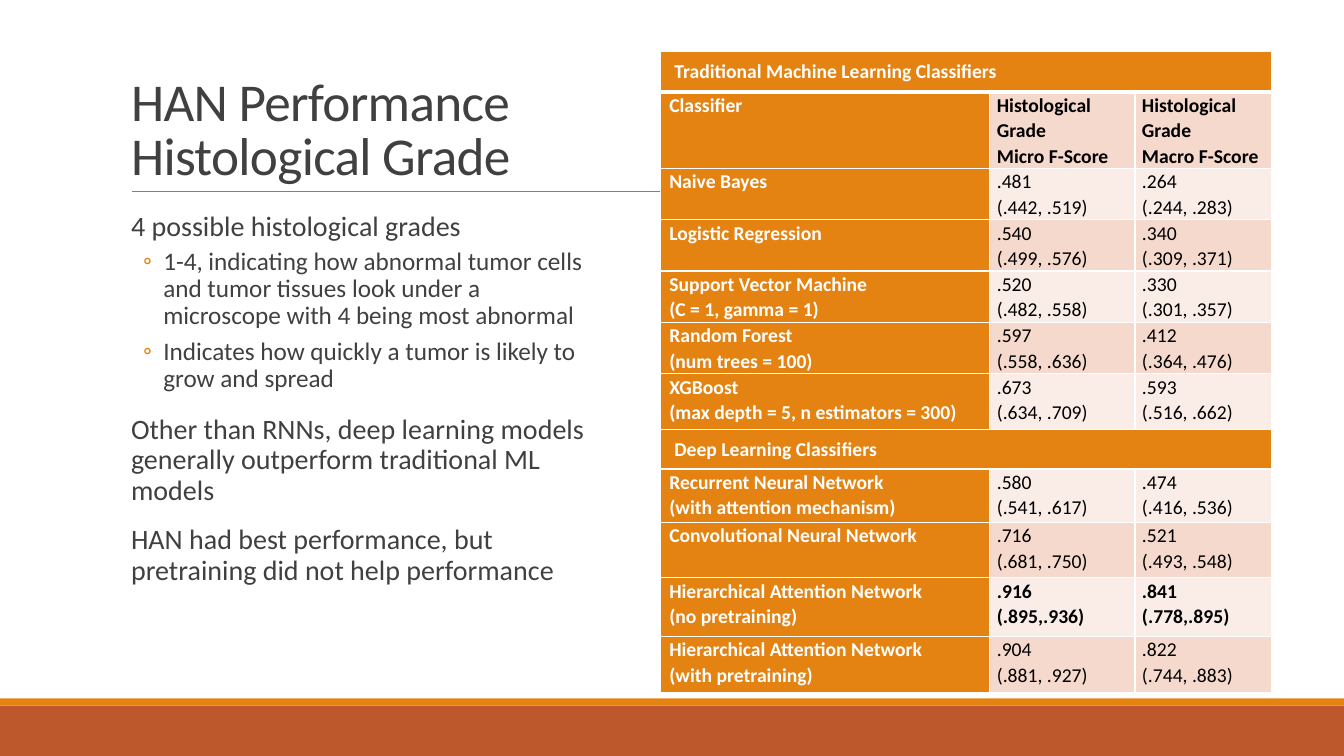
from collections import namedtuple

from lxml.etree import SubElement
from pptx import Presentation
from pptx.dml.color import RGBColor
from pptx.enum.shapes import MSO_CONNECTOR, MSO_SHAPE
from pptx.enum.text import MSO_ANCHOR, MSO_AUTO_SIZE, PP_ALIGN
from pptx.oxml import parse_xml
from pptx.oxml.ns import nsdecls, qn
from pptx.util import Inches, Pt

ORANGE = RGBColor(0xE4, 0x83, 0x12)
RUST = RGBColor(0xBD, 0x58, 0x2C)
GRAY = RGBColor(0x80, 0x80, 0x80)
CHARCOAL = RGBColor(0x40, 0x40, 0x40)
WHITE = RGBColor(0xFF, 0xFF, 0xFF)
BLACK = RGBColor(0, 0, 0)
DARK_BAND = RGBColor(0xF5, 0xD9, 0xCC)
LIGHT_BAND = RGBColor(0xFA, 0xED, 0xE7)

UNIT = Inches(0.1)
COLUMNS, ROWS = 133.33, 75
Box = namedtuple("Box", "left top width height")

POINTS = [
    (0, "4 possible histological grades"),
    (1, "1-4, indicating how abnormal tumor cells and tumor tissues look under a "
        "microscope with 4 being most abnormal"),
    (1, "Indicates how quickly a tumor is likely to grow and spread"),
    (0, "Other than RNNs, deep learning models generally outperform traditional ML models"),
    (0, "HAN had best performance, but pretraining did not help performance"),
]
COLUMN_WIDTHS = [32.7, 14.4, 13.6]
BEST_ROW = 10
SCORES = [
    (4, ["Traditional Machine Learning Classifiers"]),
    (7.5, ["Classifier"], ["Histological Grade", "Micro F-Score"],
     ["Histological Grade", "Macro F-Score"]),
    (5.1, ["Naive Bayes"], [".481", "(.442, .519)"], [".264", "(.244, .283)"]),
    (5.1, ["Logistic Regression"], [".540", "(.499, .576)"], [".340", "(.309, .371)"]),
    (5.1, ["Support Vector Machine", "(C = 1, gamma = 1)"],
     [".520", "(.482, .558)"], [".330", "(.301, .357)"]),
    (5.1, ["Random Forest", "(num trees = 100)"],
     [".597", "(.558, .636)"], [".412", "(.364, .476)"]),
    (5.5, ["XGBoost", "(max depth = 5, n estimators = 300)"],
     [".673", "(.634, .709)"], [".593", "(.516, .662)"]),
    (3.9, ["Deep Learning Classiﬁers"]),
    (5.3, ["Recurrent Neural Network", "(with attention mechanism)"],
     [".580", "(.541, .617)"], [".474", "(.416, .536)"]),
    (5.5, ["Convolutional Neural Network"], [".716", "(.681, .750)"], [".521", "(.493, .548)"]),
    (5.8, ["Hierarchical Attention Network", "(no pretraining)"],
     [".916", "(.895,.936)"], [".841", "(.778,.895)"]),
    (5.6, ["Hierarchical Attention Network", "(with pretraining)"],
     [".904", "(.881, .927)"], [".822", "(.744, .883)"]),
]


def grid(*lengths):
    """Turn grid units into slide lengths."""
    return [round(length * UNIT) for length in lengths]


def write(para, text, size, color, bold=False, spacing=1.0, before=0, after=0, tracking=0):
    """Fill a paragraph with formatted text, breaking it at each newline."""
    para.alignment = PP_ALIGN.LEFT
    para.line_spacing = spacing
    para.space_before, para.space_after = Pt(before), Pt(after)
    for index, line in enumerate(text.splitlines()):
        if index:
            para.add_line_break()
        span = para.add_run()
        span.text = line
        span.font.name, span.font.size = "Calibri", Pt(size)
        span.font.bold, span.font.color.rgb = bold, color
        if tracking:
            span.font._element.set("spc", str(round(tracking * 100)))


def frame_lines(frame, lines):
    """Yield each line with a paragraph of the frame to hold it."""
    for index, line in enumerate(lines):
        yield (frame.add_paragraph() if index else frame.paragraphs[0]), line


def move(shape, box):
    """Put a placeholder in its box and keep its text unscaled."""
    shape.left, shape.top, shape.width, shape.height = grid(*box)
    shape.text_frame.word_wrap = True
    shape.text_frame.auto_size = MSO_AUTO_SIZE.NONE


def add_bands(slide, box):
    """Draw the footer band with its thin stripe on top."""
    stripe = 0.7
    for color, top, height in ((RUST, box.top + stripe, box.height - stripe),
                               (ORANGE, box.top, stripe)):
        band = slide.shapes.add_shape(MSO_SHAPE.RECTANGLE, *grid(box.left, top, box.width, height))
        band.shadow.inherit = False
        band.fill.solid()
        band.fill.fore_color.rgb = color
        band.line.fill.background()


def add_title(slide, box):
    """Set the title and the rule beneath it."""
    title = slide.shapes.title
    move(title, box)
    title.text_frame.vertical_anchor = MSO_ANCHOR.BOTTOM
    write(title.text_frame.paragraphs[0], "HAN Performance\nHistological Grade",
          size=38, color=CHARCOAL, spacing=0.85, tracking=-0.5)
    bottom = box.top + box.height
    rule = slide.shapes.add_connector(
        MSO_CONNECTOR.STRAIGHT, *grid(box.left + 1.1, bottom, box.left + box.width + 0.1, bottom))
    rule.line.color.rgb, rule.line.width = GRAY, Pt(0.5)
    SubElement(rule._element.spPr, qn("a:effectLst"))


def set_bullet(para, level):
    """Indent a paragraph and give lower levels a round bullet."""
    para.level = level
    properties = para._p.get_or_add_pPr()
    margin, indent = grid(4.2, -2) if level else grid(1, 0)
    properties.set("marL", str(margin))
    properties.set("indent", str(indent))
    if level:
        color = SubElement(properties, qn("a:buClr"))
        SubElement(color, qn("a:srgbClr"), val=str(ORANGE))
        SubElement(properties, qn("a:buFont"), typeface="Calibri")
        SubElement(properties, qn("a:buChar"), char="◦")
    else:
        SubElement(properties, qn("a:buNone"))


def add_points(slide, box):
    """Fill the body with the two-level list."""
    body = slide.placeholders[1]
    move(body, box)
    frame = body.text_frame
    frame.margin_left = frame.margin_right = 0
    for para, (level, text) in frame_lines(frame, POINTS):
        set_bullet(para, level)
        before = 2 if level else 12
        write(para, text, size=18 if level else 20, color=CHARCOAL, spacing=0.9,
              before=0 if text == POINTS[0][1] else before, after=4 if level else 2)


def style_cell(cell, fill, margins, bottom):
    """Set a cell's fill, margins and white borders."""
    cell.fill.solid()
    cell.fill.fore_color.rgb = fill
    side, edge = grid(*margins)
    cell.margin_left = cell.margin_right = side
    cell.margin_top = cell.margin_bottom = edge
    properties = cell._tc.get_or_add_tcPr()
    for index, (name, width) in enumerate((("L", 1), ("R", 1), ("T", 1), ("B", bottom))):
        properties.insert(index, parse_xml(
            f'<a:ln{name} {nsdecls("a")} w="{Pt(width)}"><a:solidFill>'
            f'<a:srgbClr val="{WHITE}"/></a:solidFill></a:ln{name}>'))


def add_scores(slide, box):
    """Build the classifier table with section rows across all columns."""
    table = slide.shapes.add_table(len(SCORES), len(COLUMN_WIDTHS), *grid(*box)).table
    table.first_row = table.horz_banding = False
    for column, width in zip(table.columns, grid(*COLUMN_WIDTHS)):
        column.width = width
    for row, (height, *entries) in enumerate(SCORES):
        table.rows[row].height = grid(height)[0]
        section = len(entries) == 1
        if section:
            table.cell(row, 0).merge(table.cell(row, len(COLUMN_WIDTHS) - 1))
        for column in range(len(COLUMN_WIDTHS)):
            cell = table.cell(row, column)
            label = section or column == 0
            band = DARK_BAND if row % 2 else LIGHT_BAND
            margins = (1.4, 0.7) if section else (0.9 if label else 0.7, 0)
            style_cell(cell, ORANGE if label else band, margins, 1 if row else 3)
            if column < len(entries):
                for para, line in frame_lines(cell.text_frame, entries[column]):
                    write(para, line, size=14, color=WHITE if label else BLACK,
                          bold=label or row in (1, BEST_ROW), spacing=1.07)


def main():
    """Build and save the deck."""
    deck = Presentation()
    deck.slide_width, deck.slide_height = grid(COLUMNS, ROWS)
    page = deck.slides.add_slide(deck.slide_layouts[1])
    add_bands(page, Box(0, 69.3, COLUMNS, 5.7))
    add_title(page, Box(12, 3.1, 110, 15.9))
    add_points(page, Box(12, 20.6, 46.7, 49))
    add_scores(page, Box(65.5, 5.1, sum(COLUMN_WIDTHS), sum(row[0] for row in SCORES)))
    deck.save("out.pptx")


if __name__ == "__main__":
    main()
